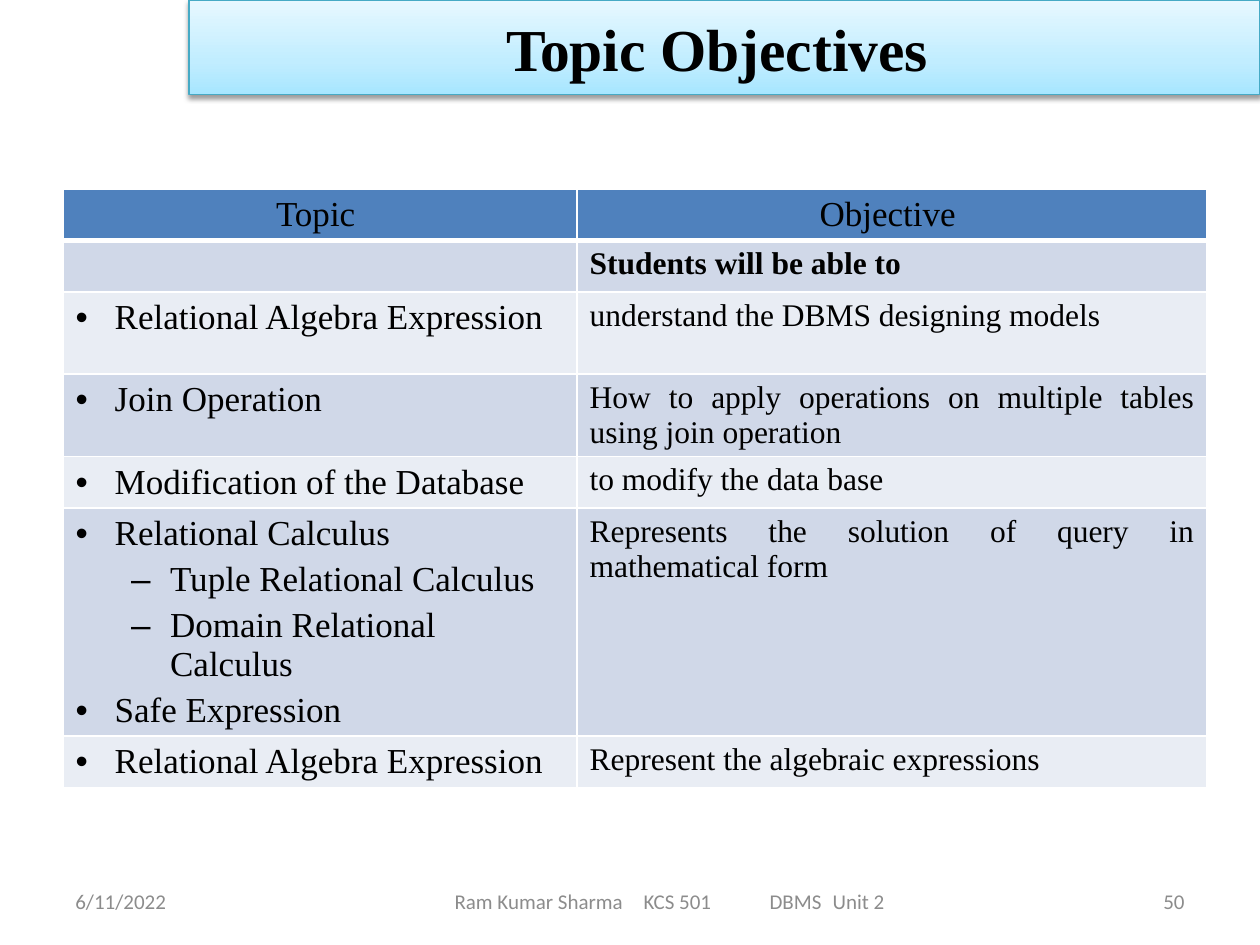
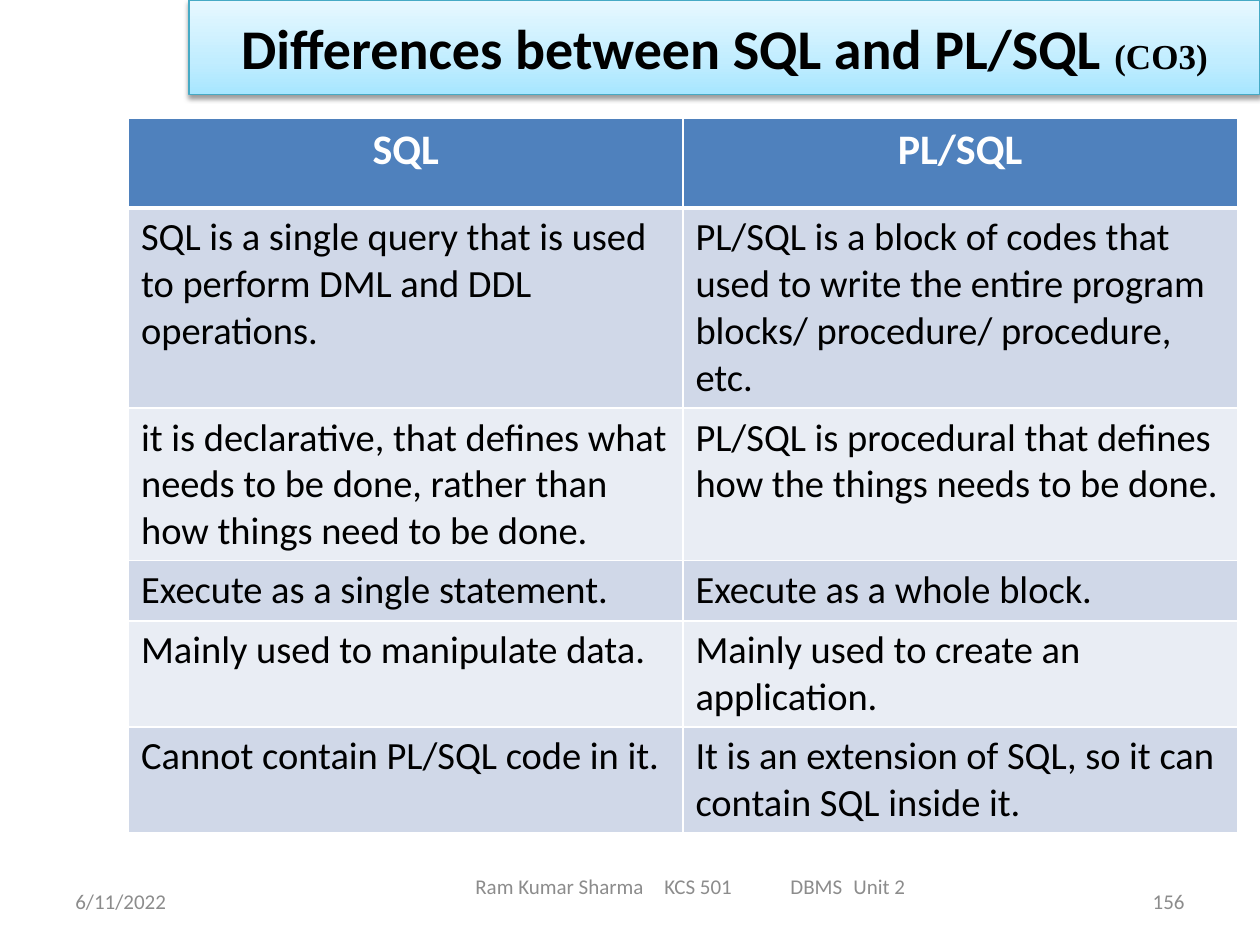
from copy import deepcopy

from lxml import etree
from pptx import Presentation
from pptx.dml.color import RGBColor
from pptx.enum.shapes import MSO_SHAPE
from pptx.enum.text import MSO_ANCHOR, PP_ALIGN
from pptx.oxml.ns import qn
from pptx.util import Inches, Pt

LEFT, CENTER, RIGHT, JUSTIFY = (
    PP_ALIGN.LEFT, PP_ALIGN.CENTER, PP_ALIGN.RIGHT, PP_ALIGN.JUSTIFY)
MIDDLE = MSO_ANCHOR.MIDDLE
RECTANGLE = MSO_SHAPE.RECTANGLE

SANS, SERIF = "Calibri", "Times New Roman"
BLACK, WHITE, GREY = "000000", "FFFFFF", "8C8C8C"
HEADER_FILL = "4F81BD"
BAND_FILLS = ["D0D8E8", "E9EDF4"]
TITLE_LINE = "46AAC5"
TITLE_GRADIENT = [(0, "A7E6FF"), (0.35, "C1EDFF"), (1, "E7F8FF")]

DATE = "6/11/2022"
FOOTER = "Ram Kumar Sharma\tKCS 501\tDBMS\tUnit 2"
FOOTER_TABS = [1.56, 2.21, 3.38]
FOOTER_TEXT_WIDTH = 3.78
INSET = 0.1

BULLETS = [("•", 0.31), ("–", 0.75)]
HANGING = 0.31

OBJECTIVES_HEADER = ["Topic ", "Objective "]
# Each topic is a list of (level, text) bullets.
OBJECTIVES = [
    ([], "Students will be able to"),
    ([(0, "Relational Algebra Expression")],
     "understand the DBMS designing models "),
    ([(0, "Join Operation")],
     "How to apply operations on multiple tables using join operation"),
    ([(0, "Modification of the Database")], "to modify the data base "),
    ([(0, "Relational Calculus"), (1, "Tuple Relational Calculus"),
      (1, "Domain Relational Calculus"), (0, "Safe Expression")],
     "Represents the solution of query in mathematical form "),
    ([(0, "Relational Algebra Expression")],
     "Represent the algebraic expressions "),
]
OBJECTIVES_HEIGHTS = [0.4, 0.41, 0.65, 0.65, 0.41, 1.8, 0.4]

DIFFERENCES_HEADER = ["SQL", "PL/SQL"]
DIFFERENCES = [
    ("SQL is a single query that is used to perform DML and DDL operations.",
     "PL/SQL is a block of codes that used to write the entire program "
     "blocks/ procedure/ procedure, etc."),
    ("it is declarative, that defines what needs to be done, rather than "
     "how things need to be done.",
     "PL/SQL is procedural that defines how the things needs to be done."),
    ("Execute as a single statement.", "Execute as a whole block."),
    ("Mainly used to manipulate data.",
     "Mainly used to create an application."),
    ("Cannot contain PL/SQL code in it.",
     "It is an extension of SQL, so it can contain SQL inside it."),
]
DIFFERENCES_HEIGHTS = [0.71, 1.59, 1.21, 0.48, 0.84, 0.84]


def color(hex_value):
    return RGBColor.from_string(hex_value)


def add_element(parent, tag, **attributes):
    return etree.SubElement(
        parent, qn(tag), {key: str(value) for key, value in attributes.items()})


def format_run(run, size, font_name, font_color=BLACK, bold=False):
    run.font.size = Pt(size)
    run.font.name = font_name
    run.font.bold = bold
    run.font.color.rgb = color(font_color)


def write_text(paragraph, text, size, font_name, font_color=BLACK,
               bold=False, align=LEFT):
    paragraph.text = text
    paragraph.alignment = align
    for run in paragraph.runs:
        format_run(run, size, font_name, font_color, bold)


def add_title_shadow(shape):
    effects = shape._element.spPr.find(qn("a:effectLst"))
    shadow = add_element(effects, "a:outerShdw", blurRad=Pt(3.1),
                         dist=Pt(1.6), dir=90 * 60000, rotWithShape=0)
    shadow_color = add_element(shadow, "a:srgbClr", val=BLACK)
    add_element(shadow_color, "a:alpha", val=38000)


def add_title_band(slide, parts):
    """Draw the title band; parts are (text, size, font name) runs."""
    band = slide.shapes.add_shape(
        RECTANGLE, Inches(1.5), 0, Inches(8.5), Inches(0.75))
    band.shadow.inherit = False
    add_title_shadow(band)
    band.line.color.rgb = color(TITLE_LINE)
    band.line.width = Pt(0.75)

    band.fill.gradient()
    band.fill.gradient_angle = 90
    stop_list = band._element.spPr.find(qn("a:gradFill")).find(qn("a:gsLst"))
    stop_list.append(deepcopy(stop_list[0]))
    for stop, (position, hex_value) in zip(band.fill.gradient_stops,
                                           TITLE_GRADIENT):
        stop.position = position
        stop.color.rgb = color(hex_value)

    band.text_frame.word_wrap = True
    band.text_frame.vertical_anchor = MIDDLE
    paragraph = band.text_frame.paragraphs[0]
    paragraph.alignment = CENTER
    for text, size, font_name in parts:
        run = paragraph.add_run()
        run.text = text
        format_run(run, size, font_name, bold=True)


def add_footer_text(slide, text, left, top, width, align=LEFT):
    box = slide.shapes.add_textbox(
        Inches(left), Inches(top), Inches(width), Inches(0.4))
    box.text_frame.word_wrap = True
    box.text_frame.vertical_anchor = MIDDLE
    paragraph = box.text_frame.paragraphs[0]
    write_text(paragraph, text, 12, SANS, GREY, align=align)
    return paragraph


def add_footers(slide, number, course_left, course_top, course_width):
    add_footer_text(slide, DATE, 0.5, 6.95, 2.33)
    add_footer_text(slide, number, 7.17, 6.95, 2.33, RIGHT)
    course = add_footer_text(
        slide, FOOTER, course_left, course_top, course_width)
    start = (course_width - 2 * INSET - FOOTER_TEXT_WIDTH) / 2
    properties = course._p.get_or_add_pPr()
    properties.set("marL", str(Inches(start)))
    properties.set("indent", "0")
    tabs = add_element(properties, "a:tabLst")
    for offset in FOOTER_TABS:
        add_element(tabs, "a:tab", pos=Inches(start + offset), algn="l")


def style_cell(cell, fill, bottom_width=1):
    properties = cell._tc.get_or_add_tcPr()
    for side, width in zip("LRTB", (1, 1, 1, bottom_width)):
        line = add_element(properties, f"a:ln{side}", w=Pt(width))
        line_fill = add_element(line, "a:solidFill")
        add_element(line_fill, "a:srgbClr", val=WHITE)
    cell.fill.solid()
    cell.fill.fore_color.rgb = color(fill)


def add_banded_table(slide, left, top, widths, heights):
    frame = slide.shapes.add_table(
        len(heights), len(widths), Inches(left), Inches(top),
        Inches(sum(widths)), Inches(sum(heights)))
    table = frame.table
    table.first_row = False
    table.horz_banding = False
    for column, width in zip(table.columns, widths):
        column.width = Inches(width)
    for index, (row, height) in enumerate(zip(table.rows, heights)):
        row.height = Inches(height)
        for cell in row.cells:
            if index == 0:
                style_cell(cell, HEADER_FILL, bottom_width=3)
            else:
                style_cell(cell, BAND_FILLS[(index - 1) % 2])
    return table


def write_cell(cell, text, *style, **options):
    write_text(cell.text_frame.paragraphs[0], text, *style, **options)


def write_bullets(cell, bullets):
    text_frame = cell.text_frame
    for index, (level, text) in enumerate(bullets):
        paragraph = (text_frame.add_paragraph() if index
                     else text_frame.paragraphs[0])
        write_text(paragraph, text, 20, SERIF)
        paragraph.level = level
        paragraph.space_before = Pt(4)
        symbol, margin = BULLETS[level]
        properties = paragraph._p.get_or_add_pPr()
        properties.set("marL", str(Inches(margin)))
        properties.set("indent", str(Inches(-HANGING)))
        add_element(properties, "a:buFont", typeface="Arial")
        add_element(properties, "a:buChar", char=symbol)


def add_objectives_slide(presentation, layout):
    slide = presentation.slides.add_slide(layout)
    add_title_band(slide, [("Topic Objectives ", 34, SERIF)])
    table = add_banded_table(slide, 0.5, 1.5, [4.08, 5], OBJECTIVES_HEIGHTS)
    for column, text in enumerate(OBJECTIVES_HEADER):
        write_cell(table.cell(0, column), text, 20, SERIF, align=CENTER)
    for row, (topics, objective) in enumerate(OBJECTIVES, start=1):
        write_bullets(table.cell(row, 0), topics)
        is_lead_in = not topics
        write_cell(table.cell(row, 1), objective, 18, SERIF, bold=is_lead_in,
                   align=LEFT if is_lead_in else JUSTIFY)
    add_footers(slide, "50", 2.75, 6.95, 5.5)


def add_differences_slide(presentation, layout):
    slide = presentation.slides.add_slide(layout)
    add_title_band(slide, [("Differences between SQL and PL/SQL ", 32, SANS),
                           ("(CO3)", 20, SERIF)])
    table = add_banded_table(slide, 1.02, 0.94, [4.4, 4.4],
                             DIFFERENCES_HEIGHTS)
    for column, text in enumerate(DIFFERENCES_HEADER):
        write_cell(table.cell(0, column), text, 24, SANS, WHITE,
                   bold=True, align=CENTER)
    for row, texts in enumerate(DIFFERENCES, start=1):
        for column, text in enumerate(texts):
            write_cell(table.cell(row, column), text, 22, SANS)
    add_footers(slide, "156", 3.08, 6.83, 5.17)


def main():
    presentation = Presentation()
    presentation.slide_width = Inches(10)
    presentation.slide_height = Inches(7.5)
    blank_layout = presentation.slide_layouts[6]
    add_objectives_slide(presentation, blank_layout)
    add_differences_slide(presentation, blank_layout)
    presentation.save("out.pptx")


if __name__ == "__main__":
    main()
